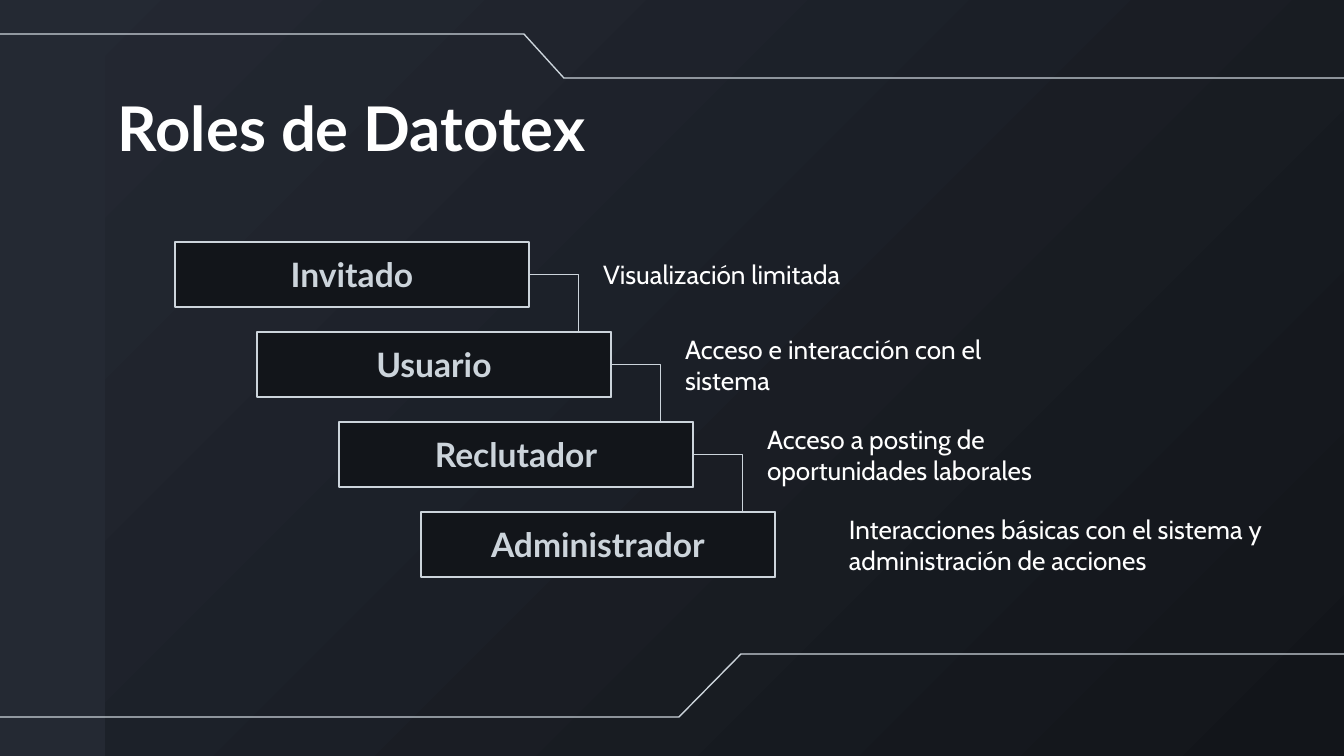
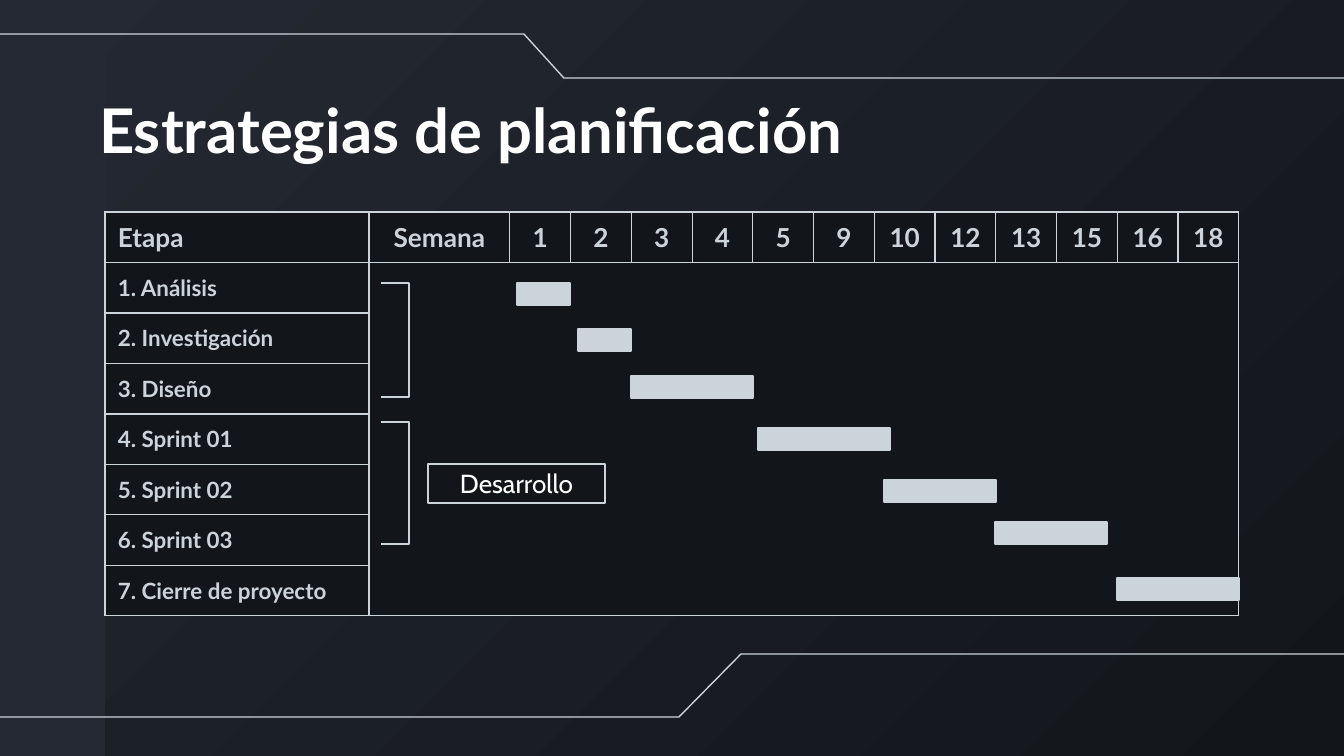
import dataclasses

import lxml.etree
import pptx
import pptx.dml.color
import pptx.enum.dml
import pptx.enum.shapes
import pptx.enum.text
import pptx.oxml.ns
import pptx.util

SHAPE = pptx.enum.shapes.MSO_SHAPE
ALIGN = pptx.enum.text.PP_ALIGN
ANCHOR = pptx.enum.text.MSO_ANCHOR
SLIDE_WIDTH, SLIDE_HEIGHT = 1344, 756
INSET = 13


@dataclasses.dataclass(frozen=True)
class Theme:
    dark: str = "12151A"
    slate: str = "242933"
    silver: str = "CCD4DB"
    white: str = "FFFFFF"
    heading_font: str = "Lato"
    body_font: str = "Cabin"
    title_size: int = 33
    role_size: int = 18
    body_size: int = 14
    stage_size: int = 12
    line_width: float = 0.75


THEME = Theme()


@dataclasses.dataclass(frozen=True)
class Box:
    left: int
    top: int
    width: int
    height: int

    def inner(self, left, top, width, height):
        return Box(self.left + left, self.top + top, width, height)

    def emu(self):
        return [px(length) for length in dataclasses.astuple(self)]


def px(length):
    return round(length * 914400 / 134.4)


def rgb(color):
    return pptx.dml.color.RGBColor.from_string(color)


# Shared building pieces
def write(frame, text, font=THEME.body_font, size=THEME.body_size,
          color=THEME.white, bold=False, align=ALIGN.LEFT):
    paragraph = frame.paragraphs[0]
    paragraph.alignment = align
    run = paragraph.add_run()
    run.text = text
    run.font.name = font
    run.font.size = pptx.util.Pt(size)
    run.font.bold = bold
    run.font.color.rgb = rgb(color)


def prepare_frame(frame, anchor):
    frame.word_wrap = True
    frame.vertical_anchor = anchor
    frame.margin_left = frame.margin_right = px(INSET)
    frame.margin_top = frame.margin_bottom = px(INSET)


def add_text(slide, box, text, anchor=ANCHOR.MIDDLE, **text_format):
    frame = slide.shapes.add_textbox(*box.emu()).text_frame
    prepare_frame(frame, anchor)
    write(frame, text, **text_format)


def style_line(line):
    line.color.rgb = rgb(THEME.silver)
    line.width = pptx.util.Pt(THEME.line_width)


def style_shape(shape, fill=None, outlined=True):
    shape.shadow.inherit = False
    if fill:
        shape.fill.solid()
        shape.fill.fore_color.rgb = rgb(fill)
    else:
        shape.fill.background()
    if outlined:
        style_line(shape.line)
    else:
        shape.line.fill.background()


def add_box(slide, box, fill=None, kind=SHAPE.RECTANGLE, outlined=True,
            text=None, **text_format):
    shape = slide.shapes.add_shape(kind, *box.emu())
    style_shape(shape, fill, outlined)
    if text:
        prepare_frame(shape.text_frame, ANCHOR.MIDDLE)
        write(shape.text_frame, text, align=ALIGN.CENTER, **text_format)
    return shape


def add_outline(slide, points):
    start, *others = [(px(x), px(y)) for x, y in points]
    builder = slide.shapes.build_freeform(*start)
    builder.add_line_segments(others, close=False)
    style_shape(builder.convert_to_shape())


def add_elbow(slide, source, target):
    connector = slide.shapes.add_connector(
        pptx.enum.shapes.MSO_CONNECTOR.ELBOW, 0, 0, 0, 0)
    connector.begin_connect(source, 3)
    connector.end_connect(target, 0)
    style_line(connector.line)
    properties = connector._element.spPr
    properties.find(pptx.oxml.ns.qn("a:prstGeom")).set("prst", "bentConnector2")
    lxml.etree.SubElement(properties, pptx.oxml.ns.qn("a:effectLst"))


# Background, side band, circuit lines and title
def add_framed_slide(presentation, title, title_box):
    slide = presentation.slides.add_slide(presentation.slide_layouts[6])
    fill = slide.background.fill
    fill.gradient()
    fill.gradient_angle = 135
    for stop, position, color in zip(fill.gradient_stops, (0, 1),
                                     (THEME.dark, THEME.slate)):
        stop.position = position
        stop.color.rgb = rgb(color)

    add_box(slide, Box(0, 0, 105, SLIDE_HEIGHT), THEME.slate, outlined=False)
    add_outline(slide, [(SLIDE_WIDTH, 654), (741, 654), (679, 717), (0, 717)])
    add_outline(slide, [(0, 34), (524, 34), (564, 78), (SLIDE_WIDTH, 78)])
    add_text(slide, title_box, title, ANCHOR.TOP, font=THEME.heading_font,
             size=THEME.title_size, bold=True)
    return slide


# Staircase of roles, each with its description
def add_role_stairs(slide, area, roles):
    step_x, step_y, width, height = 82, 90, 354, 65
    bars, corners = [], []
    for index, (role, description, description_width) in enumerate(roles):
        bar = area.inner(index * step_x, index * step_y, width, height)
        if index:
            corner = bar.inner(width - height, 0, height, height)
            corners.append(add_box(slide, corner, THEME.dark))
        bars.append(add_box(slide, bar, THEME.dark, text=role,
                            font=THEME.heading_font, size=THEME.role_size,
                            color=THEME.silver, bold=True))
        add_text(slide, bar.inner(415, 0, description_width, height), description)
    for bar, corner in zip(bars, corners):
        add_elbow(slide, bar, corner)


# Schedule grid
def style_cell(cell):
    properties = cell._tc.get_or_add_tcPr()
    for side in ("lnL", "lnR", "lnT", "lnB"):
        border = lxml.etree.SubElement(
            properties, pptx.oxml.ns.qn("a:" + side),
            w=str(pptx.util.Pt(THEME.line_width)))
        solid = lxml.etree.SubElement(border, pptx.oxml.ns.qn("a:solidFill"))
        lxml.etree.SubElement(solid, pptx.oxml.ns.qn("a:srgbClr"), val=THEME.silver)
    cell.fill.solid()
    cell.fill.fore_color.rgb = rgb(THEME.dark)
    cell.vertical_anchor = ANCHOR.MIDDLE
    cell.margin_left = cell.margin_right = px(INSET)
    cell.margin_top = cell.margin_bottom = 0


def add_schedule(slide, area, weeks, stages):
    lead_widths = [73, 73, 118, 141]
    week_width = (area.width - sum(lead_widths)) / len(weeks)
    widths = lead_widths + [week_width] * len(weeks)
    row_count = len(stages) + 1
    table = slide.shapes.add_table(row_count, len(widths), *area.emu()).table
    table.first_row = table.horz_banding = False
    for column, width in zip(table.columns, widths):
        column.width = px(width)
    for row in table.rows:
        row.height = px(area.height / row_count)
    for cell in table.iter_cells():
        style_cell(cell)

    label = dict(font=THEME.heading_font, color=THEME.silver, bold=True)
    for index, text in enumerate(["Etapa"] + stages):
        cell = table.cell(index, 0)
        cell.merge(table.cell(index, 2))
        size = THEME.stage_size if index else THEME.body_size
        write(cell.text_frame, text, size=size, **label)
    for index, text in enumerate(["Semana"] + weeks, start=3):
        write(table.cell(0, index).text_frame, text, align=ALIGN.CENTER, **label)
    table.cell(1, 3).merge(table.cell(row_count - 1, len(widths) - 1))


# Bars, brackets and label laid over the schedule
def add_timeline(slide, area, bars):
    for left, top, width in bars:
        add_box(slide, area.inner(left, top, width, 22), THEME.silver)
    for top, height in [(71, 114), (210, 122)]:
        bracket = add_box(slide, area.inner(276, top, 28, height),
                          kind=SHAPE.RIGHT_BRACKET)
        bracket.adjustments[0] = 0
    add_box(slide, area.inner(323, 252, 177, 39), text="Desarrollo")


def build_roles(presentation):
    slide = add_framed_slide(presentation, "Roles de Datotex",
                             Box(105, 77, 1134, 85))
    add_role_stairs(slide, Box(175, 242, 1137, 335), [
        ("Invitado", "Visualización limitada", 333),
        ("Usuario", "Acceso e interacción con el sistema", 333),
        ("Reclutador", "Acceso a posting de oportunidades laborales", 333),
        ("Administrador",
         "Interacciones básicas con el sistema y administración de acciones", 476),
    ])


def build_planning(presentation):
    slide = add_framed_slide(presentation, "Estrategias de planificación",
                             Box(86, 79, 1134, 85))
    area = Box(105, 212, 1134, 404)
    add_schedule(
        slide, area,
        ["1", "2", "3", "4", "5", "9", "10", "12", "13", "15", "16", "18"],
        ["1. Análisis", "2. Investigación", "3. Diseño", "4. Sprint 01",
         "5. Sprint 02", "6. Sprint 03", "7. Cierre de proyecto"])
    add_timeline(slide, area, [
        (412, 71, 53), (473, 117, 53), (526, 164, 122), (653, 216, 132),
        (779, 268, 112), (890, 310, 112), (1012, 366, 122)])


def main():
    presentation = pptx.Presentation()
    presentation.slide_width = px(SLIDE_WIDTH)
    presentation.slide_height = px(SLIDE_HEIGHT)
    build_roles(presentation)
    build_planning(presentation)
    presentation.save("out.pptx")


if __name__ == "__main__":
    main()
